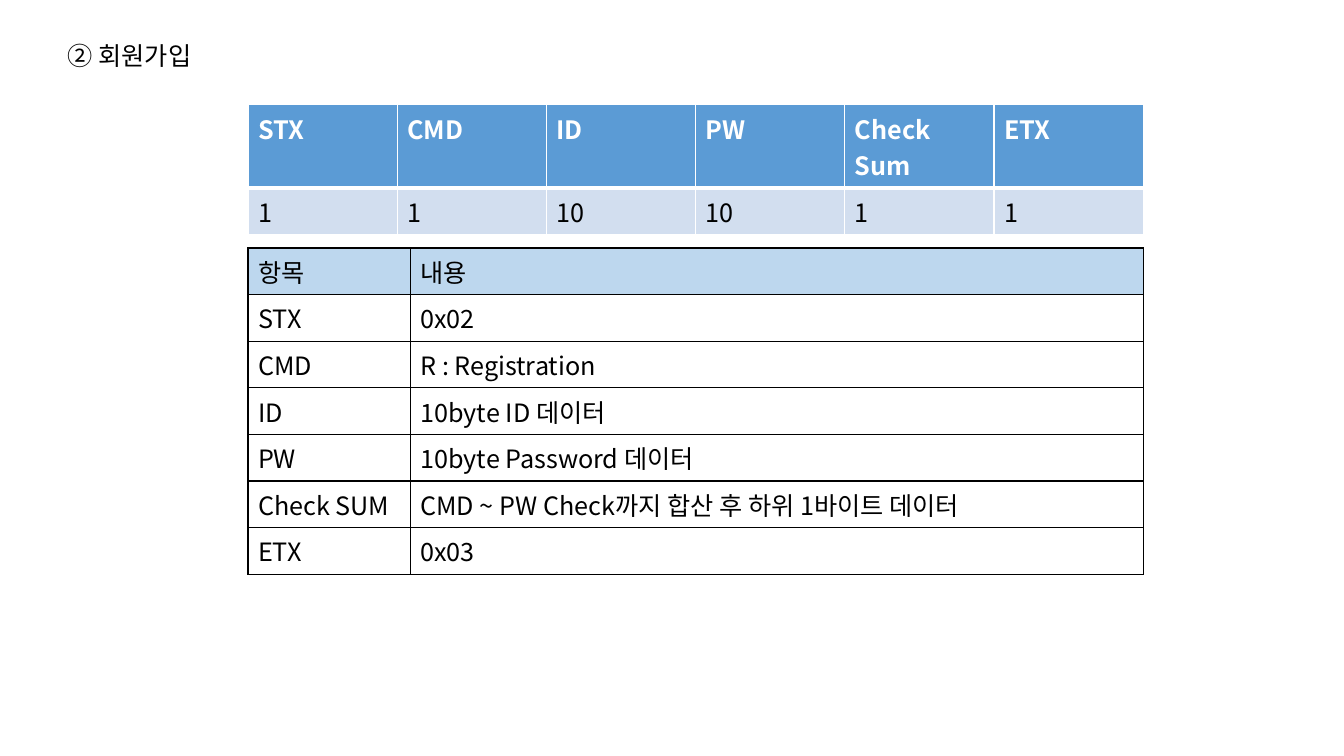
from dataclasses import dataclass

from lxml.etree import SubElement
from pptx import Presentation
from pptx.dml.color import RGBColor
from pptx.enum.text import MSO_ANCHOR as Anchor, MSO_AUTO_SIZE as AutoSize, PP_ALIGN as Align
from pptx.oxml.ns import qn
from pptx.slide import Slide
from pptx.util import Cm, Pt


@dataclass(frozen=True)
class Theme:
    font: str = "Noto Sans CJK KR"
    size: int = 18
    black: str = "000000"
    white: str = "FFFFFF"
    frame_header: str = "5B9BD5"
    frame_body: str = "D2DEEF"
    field_header: str = "BDD7EE"


THEME = Theme()


@dataclass(frozen=True)
class RowStyle:
    fill: str | None
    text: str
    border: str
    bold: bool = False
    top: float = 1
    bottom: float = 1


@dataclass(frozen=True)
class Grid:
    top: float
    columns: list[float]
    rows: list[list[str]]
    header: RowStyle
    body: RowStyle


LEFT, ROW_HEIGHT = 6.25, 1.03

FRAME = Grid(
    top=2.64,
    columns=[3.76] * 6,
    rows=[
        ["STX", "CMD", "ID", "PW", "Check Sum", "ETX"],
        ["1", "1", "10", "10", "1", "1"],
    ],
    header=RowStyle(THEME.frame_header, THEME.white, THEME.white, bold=True, bottom=3),
    body=RowStyle(THEME.frame_body, THEME.black, THEME.white, top=3),
)

FIELDS = Grid(
    top=6.25,
    columns=[4.09, 18.48],
    rows=[
        ["항목", "내용"],
        ["STX", "0x02"],
        ["CMD", "R : Registration"],
        ["ID", "10byte ID 데이터"],
        ["PW", "10byte Password 데이터"],
        ["Check SUM", "CMD ~ PW Check까지 합산 후 하위 1바이트 데이터"],
        ["ETX", "0x03"],
    ],
    header=RowStyle(THEME.field_header, THEME.black, THEME.black),
    body=RowStyle(None, THEME.black, THEME.black),
)


def write(frame, text: str, color: str, bold: bool = False) -> None:
    frame.text = text
    para = frame.paragraphs[0]
    para.alignment = Align.LEFT
    font = para.font
    font.name, font.size, font.bold = THEME.font, Pt(THEME.size), bold
    font.color.rgb = RGBColor.from_string(color)
    # Hangul takes its face from the East Asian font
    properties = para._p.get_or_add_pPr().find(qn("a:defRPr"))
    SubElement(properties, qn("a:ea"), typeface=THEME.font)


def style_cell(cell, style: RowStyle) -> None:
    # Borders come before the fill in the cell properties
    properties = cell._tc.get_or_add_tcPr()
    widths = {"lnL": 1, "lnR": 1, "lnT": style.top, "lnB": style.bottom}
    for side, width in widths.items():
        line = SubElement(properties, qn(f"a:{side}"), w=str(Pt(width)))
        SubElement(SubElement(line, qn("a:solidFill")), qn("a:srgbClr"), val=style.border)
    if style.fill:
        cell.fill.solid()
        cell.fill.fore_color.rgb = RGBColor.from_string(style.fill)
    else:
        cell.fill.background()


def draw_grid(page: Slide, grid: Grid) -> None:
    table = page.shapes.add_table(
        len(grid.rows), len(grid.columns), Cm(LEFT), Cm(grid.top),
        Cm(sum(grid.columns)), Cm(ROW_HEIGHT * len(grid.rows)),
    ).table
    table.first_row = table.horz_banding = False
    for column, width in zip(table.columns, grid.columns):
        column.width = Cm(width)
    for index, (row, texts) in enumerate(zip(table.rows, grid.rows)):
        row.height = Cm(ROW_HEIGHT)
        style = grid.body if index else grid.header
        for cell, text in zip(row.cells, texts):
            style_cell(cell, style)
            write(cell.text_frame, text, style.text, style.bold)


def draw_title(page: Slide, text: str) -> None:
    title = page.shapes.title
    title.left, title.top, title.width, title.height = Cm(1.45), Cm(0.89), Cm(4.17), Cm(1.02)
    frame = title.text_frame
    frame.word_wrap = True
    frame.auto_size = AutoSize.NONE
    frame.vertical_anchor = Anchor.TOP
    write(frame, text, THEME.black)


# Slide
deck = Presentation()
deck.slide_width, deck.slide_height = Cm(33.87), Cm(19.05)
page = deck.slides.add_slide(deck.slide_layouts[5])

# Title, packet layout and field descriptions
draw_title(page, "② 회원가입")
for grid in (FRAME, FIELDS):
    draw_grid(page, grid)

deck.save("out.pptx")
